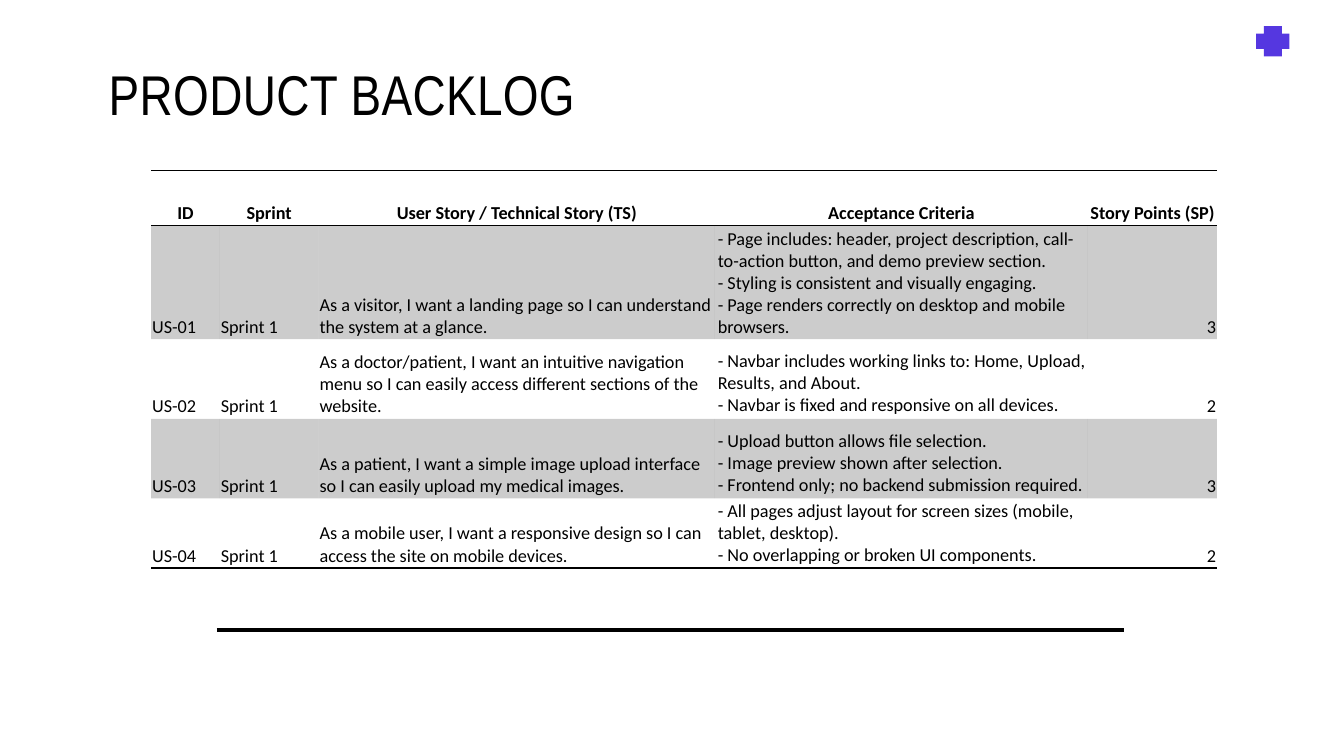
from lxml import etree
from pptx import Presentation
from pptx.dml.color import RGBColor
from pptx.enum.shapes import MSO_CONNECTOR, MSO_SHAPE
from pptx.enum.text import MSO_ANCHOR, PP_ALIGN
from pptx.oxml import parse_xml
from pptx.oxml.ns import nsdecls, qn
from pptx.util import Inches, Pt

COLORS = {"ink": "000000", "accent": "5537E0"}
NO_STYLE = "{2D5ABB26-0587-4C30-8999-92F81FD0307C}"
HEADERS = ["ID", "Sprint", "User Story / Technical Story (TS)", "Acceptance Criteria", "Story Points (SP)"]
STORIES = [
    ["US-01", "Sprint 1",
     "As a visitor, I want a landing page so I can understand the system at a glance.",
     "- Page includes: header, project description, call-to-action button, and demo preview section.\n"
     "- Styling is consistent and visually engaging.\n"
     "- Page renders correctly on desktop and mobile browsers.", "3"],
    ["US-02", "Sprint 1",
     "As a doctor/patient, I want an intuitive navigation menu so I can easily access different sections of the website.",
     "- Navbar includes working links to: Home, Upload, Results, and About.\n"
     "- Navbar is fixed and responsive on all devices.", "2"],
    ["US-03", "Sprint 1",
     "As a patient, I want a simple image upload interface so I can easily upload my medical images.",
     "- Upload button allows file selection.\n"
     "- Image preview shown after selection.\n"
     "- Frontend only; no backend submission required.", "3"],
    ["US-04", "Sprint 1",
     "As a mobile user, I want a responsive design so I can access the site on mobile devices.",
     "- All pages adjust layout for screen sizes (mobile, tablet, desktop).\n"
     "- No overlapping or broken UI components.", "2"],
]
COLUMN_WIDTHS = [0.68, 0.98, 3.93, 3.7, 1.28]
ROW_HEIGHTS = [0.55, 0.79, 0.79, 0.79, 0.55]
COLUMN_ALIGNMENTS = [PP_ALIGN.LEFT] * 4 + [PP_ALIGN.RIGHT]


def style_text(paragraph, font_name, size, bold=False):
    for run in paragraph.runs:
        run.font.name = font_name
        run.font.size = Pt(size)
        run.font.bold = bold
        run.font.color.rgb = RGBColor.from_string(COLORS["ink"])


def add_border(cell, side):
    cell._tc.get_or_add_tcPr().append(parse_xml(
        f'<a:{side} {nsdecls("a")} w="{Pt(1)}"><a:solidFill>'
        f'<a:srgbClr val="{COLORS["ink"]}"/></a:solidFill></a:{side}>'))


presentation = Presentation()
presentation.slide_width = Inches(13.33)
presentation.slide_height = Inches(7.5)
slide = presentation.slides.add_slide(presentation.slide_layouts[6])

title = slide.shapes.add_textbox(Inches(0.98), Inches(0.51), Inches(6.52), Inches(0.82))
title.text_frame.word_wrap = True
title.text_frame.vertical_anchor = MSO_ANCHOR.MIDDLE
title.text_frame.text = "PRODUCT BACKLOG"
title_paragraph = title.text_frame.paragraphs[0]
style_text(title_paragraph, "Arial Narrow", 40)
title_paragraph.runs[0].font._element.set("spc", "30")

rule = slide.shapes.add_connector(
    MSO_CONNECTOR.STRAIGHT, Inches(2.15), Inches(6.25), Inches(11.15), Inches(6.25))
rule.line.color.rgb = RGBColor.from_string(COLORS["ink"])
rule.line.width = Pt(3.5)
etree.SubElement(rule._element.spPr, qn("a:effectLst"))

backlog = slide.shapes.add_table(
    len(ROW_HEIGHTS), len(COLUMN_WIDTHS), Inches(1.5), Inches(1.69),
    Inches(sum(COLUMN_WIDTHS)), Inches(sum(ROW_HEIGHTS))).table
backlog.first_row = False
backlog.horz_banding = False
backlog._tbl.tblPr.find(qn("a:tableStyleId")).text = NO_STYLE
for column, width in zip(backlog.columns, COLUMN_WIDTHS):
    column.width = Inches(width)
for row, height in zip(backlog.rows, ROW_HEIGHTS):
    row.height = Inches(height)

for row_index, values in enumerate([HEADERS] + STORIES):
    is_header = row_index == 0
    for column_index, value in enumerate(values):
        cell = backlog.cell(row_index, column_index)
        is_criteria = column_index == 3 and not is_header
        is_points_header = column_index == 4 and is_header
        cell.vertical_anchor = MSO_ANCHOR.BOTTOM
        cell.margin_left = cell.margin_right = Inches(
            0.03 if is_criteria else 0 if is_points_header else 0.01)
        cell.margin_top = cell.margin_bottom = Inches(0.02 if is_criteria else 0.01)
        paragraph = cell.text_frame.paragraphs[0]
        paragraph.text = value
        paragraph.alignment = PP_ALIGN.CENTER if is_header else COLUMN_ALIGNMENTS[column_index]
        style_text(paragraph, "Calibri", 13, is_header)
        if is_header:
            add_border(cell, "lnT")
        if is_header or row_index == len(STORIES):
            add_border(cell, "lnB")
        if row_index % 2:
            cell.fill.solid()
            cell.fill.fore_color.rgb = RGBColor.from_string(COLORS["ink"])
            shade = cell._tc.tcPr.find(qn("a:solidFill")).find(qn("a:srgbClr"))
            etree.SubElement(shade, qn("a:alpha"), val="20000")
        else:
            cell.fill.background()

plus = slide.shapes.add_shape(
    MSO_SHAPE.CROSS, Inches(12.46), Inches(0.26), Inches(0.33), Inches(0.3))
plus.shadow.inherit = False
plus.fill.solid()
plus.fill.fore_color.rgb = RGBColor.from_string(COLORS["accent"])
plus.line.fill.background()

presentation.save("out.pptx")
